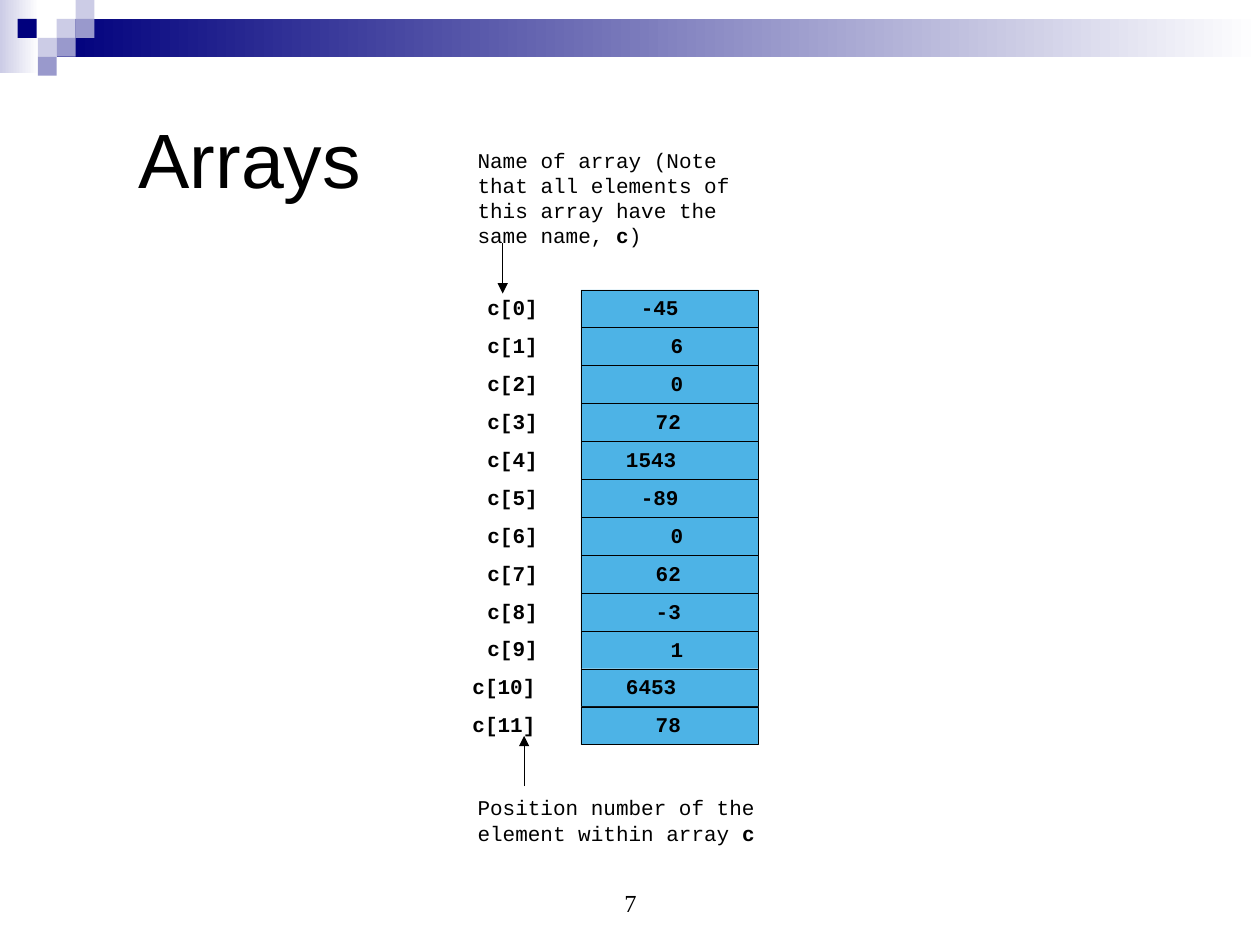
from dataclasses import dataclass

from lxml import etree
from pptx import Presentation
from pptx.dml.color import RGBColor
from pptx.enum import shapes, text
from pptx.oxml.ns import qn
from pptx.util import Inches, Pt


@dataclass(frozen=True)
class Theme:
    black: RGBColor = RGBColor.from_string("000000")
    white: RGBColor = RGBColor.from_string("FFFFFF")
    navy: RGBColor = RGBColor.from_string("00007D")
    lavender: RGBColor = RGBColor.from_string("9999CC")
    pale: RGBColor = RGBColor.from_string("CCCCE6")
    cell: RGBColor = RGBColor.from_string("4DB3E6")
    title_font: str = "Arial"
    code_font: str = "Courier New"
    number_font: str = "Times New Roman"
    title_size: Pt = Pt(44)
    code_size: Pt = Pt(12)
    number_size: Pt = Pt(14)
    hairline: Pt = Pt(0.25)


theme = Theme()
prs = Presentation()
prs.slide_width, prs.slide_height = Inches(10), Inches(7.5)
slide = prs.slides.add_slide(prs.slide_layouts[5])


def add_rect(left, top, width, height):
    rect = slide.shapes.add_shape(
        shapes.MSO_SHAPE.RECTANGLE,
        Inches(left), Inches(top), Inches(width), Inches(height))
    rect.shadow.inherit = False
    rect.line.fill.background()
    return rect


def write_code(shape, runs, bold=False, left=0, top=0):
    """Fill a shape with monospaced (words, bold) runs, inset from its top left corner."""
    frame = shape.text_frame
    frame.word_wrap = True
    frame.vertical_anchor = text.MSO_ANCHOR.TOP
    frame.margin_left, frame.margin_top = Inches(left), Inches(top)
    frame.margin_right = frame.margin_bottom = 0
    paragraph = frame.paragraphs[0]
    paragraph.alignment = text.PP_ALIGN.LEFT
    paragraph.font.name, paragraph.font.size = theme.code_font, theme.code_size
    paragraph.font.color.rgb = theme.black
    paragraph.font.bold = bold
    for words, emphasised in runs:
        run = paragraph.add_run()
        run.text = words
        if emphasised:
            run.font.bold = True


# Header band and corner squares
for area, start in [((0, 0, 0.31, 0.58), theme.pale),
                    ((0.45, 0.15, 9.55, 0.3), theme.navy)]:
    band = add_rect(*area)
    band.fill.gradient()
    band.fill.gradient_angle = 0
    for stop, color in zip(band.fill.gradient_stops, (start, theme.white)):
        stop.color.rgb = color

square_side = 0.15
for left, top, color in [(0.45, 0.15, theme.pale), (0.6, 0, theme.pale),
                         (0.6, 0.15, theme.lavender), (0.3, 0.3, theme.pale),
                         (0.14, 0.15, theme.navy), (0.45, 0.3, theme.lavender),
                         (0.3, 0.45, theme.lavender)]:
    square = add_rect(left, top, square_side, square_side)
    square.fill.solid()
    square.fill.fore_color.rgb = color

# Title
title = slide.shapes.title
title.left, title.top, title.width, title.height = map(Inches, (0.5, 0.5, 9, 1.5))
title.text_frame.text = "\tArrays"
title.text_frame.vertical_anchor = text.MSO_ANCHOR.MIDDLE
heading = title.text_frame.paragraphs[0]
heading.alignment = text.PP_ALIGN.LEFT
heading.font.name, heading.font.size = theme.title_font, theme.title_size
heading.font.color.rgb = theme.black

# Array: index labels and value cells, both ending on a common right edge
values = [-45, 6, 0, 72, 1543, -89, 0, 62, -3, 1, 6453, 78]
cell_left, cell_width, cell_height = 4.61, 1.41, 0.3
first_top, row_pitch = 2.3, 3.31 / 11
char_width, text_drop = 0.118, 0.04
label_right, value_right = 4.34, 5.44
for index, value in enumerate(values):
    top = first_top + index * row_pitch
    cell = add_rect(cell_left, top, cell_width, cell_height)
    cell.fill.solid()
    cell.fill.fore_color.rgb = theme.cell
    cell.line.color.rgb = theme.black
    cell.line.width = theme.hairline
    value_left = value_right - char_width * len(str(value)) - cell_left
    write_code(cell, [(str(value), False)], bold=True, left=value_left, top=text_drop)

    name = f"c[{index}]"
    label_width = char_width * len(name)
    label = slide.shapes.add_textbox(
        Inches(label_right - label_width), Inches(top + text_drop),
        Inches(label_width + 0.04), Inches(0.23))
    write_code(label, [(name, False)], bold=True)

# Notes on the name and the position number
notes = [
    ((3.79, 1.17, 2.35, 0.53),
     [("Name of array (Note that all elements of this array have the same name, ", False),
      ("c", True), (")", False)]),
    ((3.79, 6.31, 2.63, 0.36),
     [("Position number of the element within array ", False), ("c", True)]),
]
for area, runs in notes:
    note = slide.shapes.add_textbox(*map(Inches, area))
    write_code(note, runs)

for x, start, end in [(3.99, 1.93, 2.33), (4.16, 6.24, 5.84)]:
    arrow = slide.shapes.add_connector(
        shapes.MSO_CONNECTOR.STRAIGHT, Inches(x), Inches(start), Inches(x), Inches(end))
    arrow.line.color.rgb = theme.black
    arrow.line.width = theme.hairline
    etree.SubElement(arrow.line._get_or_add_ln(), qn("a:tailEnd"), type="triangle")
    etree.SubElement(arrow._element.spPr, qn("a:effectLst"))

# Slide number
page = slide.shapes.add_textbox(Inches(3.42), Inches(6.83), Inches(3.17), Inches(0.5))
page.text_frame.word_wrap = True
page.text_frame.vertical_anchor = text.MSO_ANCHOR.BOTTOM
page.text_frame.text = "7"
number = page.text_frame.paragraphs[0]
number.alignment = text.PP_ALIGN.CENTER
number.font.name, number.font.size = theme.number_font, theme.number_size
number.font.color.rgb = theme.black

prs.save("out.pptx")
